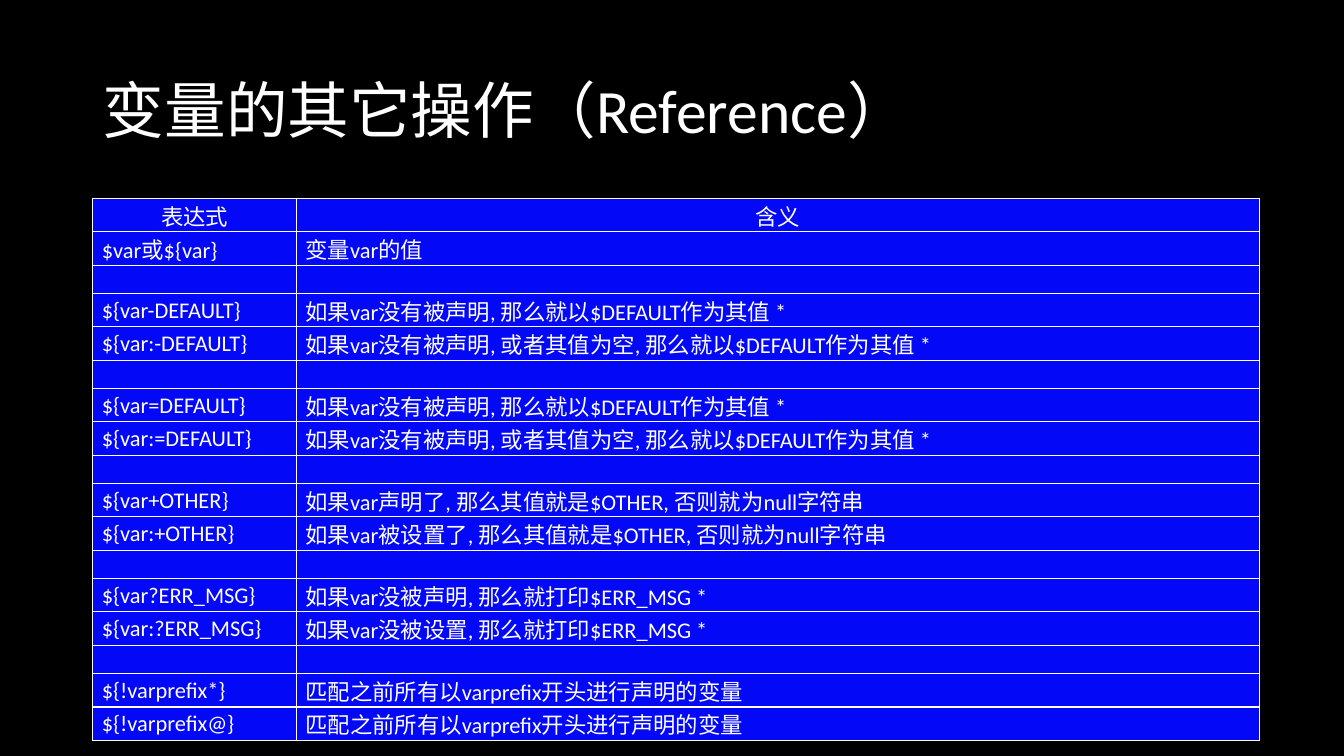
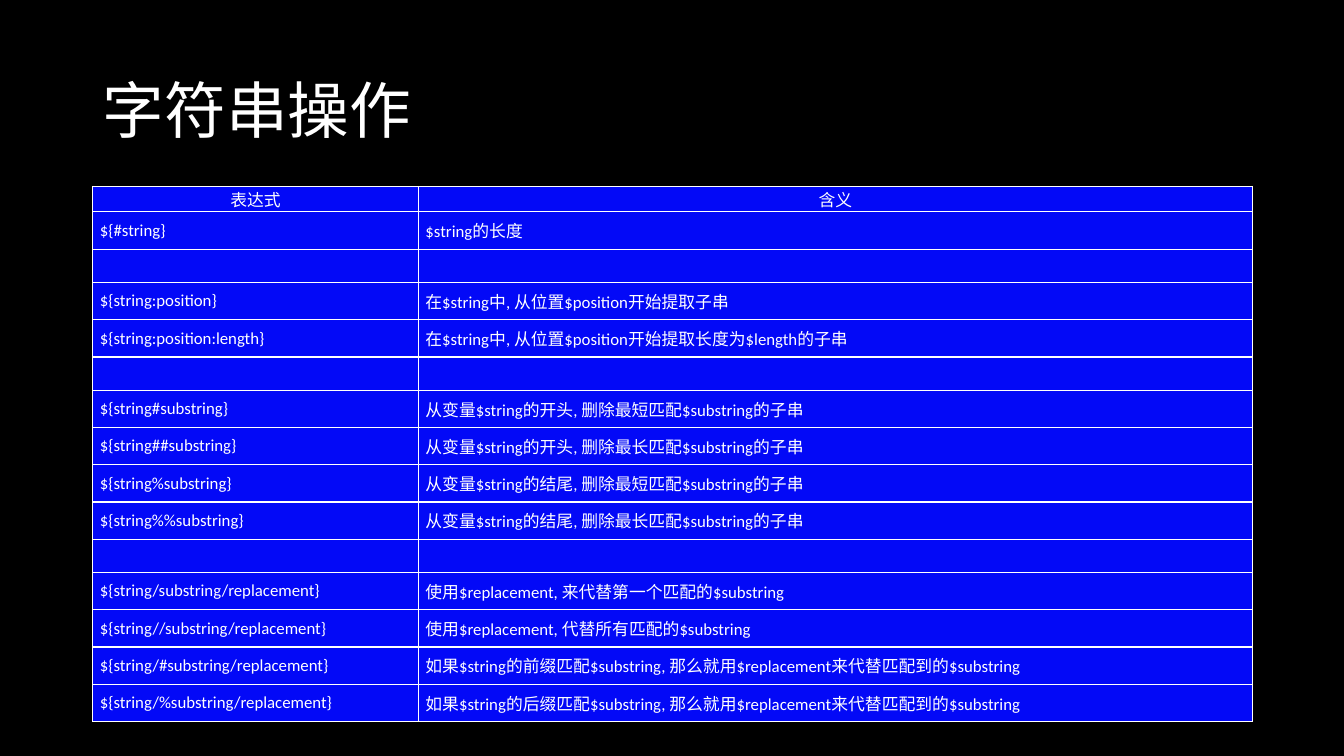
from lxml import etree
from pptx import Presentation
from pptx.dml.color import RGBColor
from pptx.enum.text import MSO_ANCHOR, PP_ALIGN
from pptx.oxml.ns import qn
from pptx.util import Inches, Pt

BLACK = RGBColor(0x00, 0x00, 0x00)
BLUE = RGBColor(0x03, 0x09, 0xF7)
WHITE = RGBColor(0xFF, 0xFF, 0xFF)
FONT = "Calibri"
LEFT, CENTER, MIDDLE = PP_ALIGN.LEFT, PP_ALIGN.CENTER, MSO_ANCHOR.MIDDLE

HEADER = ("表达式", "含义")
GAP = ("", "")
HEADER_MARGINS = (0.01, 0.01, 0.01, 0)

SLIDES = [
    {
        "title": "变量的其它操作（Reference）",
        "top": 1.97, "columns": (2.02, 9.55), "size": 16,
        "margins": (0.09, 0.01, 0.01, 0),
        "header_height": 0.33, "row_height": 0.33, "gap_height": 0.28,
        "rows": [
            ("$var或${var}", "变量var的值"),
            GAP,
            ("${var-DEFAULT}", "如果var没有被声明, 那么就以$DEFAULT作为其值 *"),
            ("${var:-DEFAULT}", "如果var没有被声明, 或者其值为空, 那么就以$DEFAULT作为其值 *"),
            GAP,
            ("${var=DEFAULT}", "如果var没有被声明, 那么就以$DEFAULT作为其值 *"),
            ("${var:=DEFAULT}", "如果var没有被声明, 或者其值为空, 那么就以$DEFAULT作为其值 *"),
            GAP,
            ("${var+OTHER}", "如果var声明了, 那么其值就是$OTHER, 否则就为null字符串"),
            ("${var:+OTHER}", "如果var被设置了, 那么其值就是$OTHER, 否则就为null字符串"),
            GAP,
            ("${var?ERR_MSG}", "如果var没被声明, 那么就打印$ERR_MSG *"),
            ("${var:?ERR_MSG}", "如果var没被设置, 那么就打印$ERR_MSG *"),
            GAP,
            ("${!varprefix*}", "匹配之前所有以varprefix开头进行声明的变量"),
            ("${!varprefix@}", "匹配之前所有以varprefix开头进行声明的变量"),
        ],
    },
    {
        "title": "字符串操作",
        "top": 1.85, "columns": (3.23, 8.27), "size": 12,
        "margins": (0.07, 0.06, 0.01, 0.06),
        "header_height": 0.25, "row_height": 0.37, "gap_height": 0.33,
        "rows": [
            ("${#string}", "$string的长度"),
            GAP,
            ("${string:position}", "在$string中, 从位置$position开始提取子串"),
            ("${string:position:length}", "在$string中, 从位置$position开始提取长度为$length的子串"),
            GAP,
            ("${string#substring}", "从变量$string的开头, 删除最短匹配$substring的子串"),
            ("${string##substring}", "从变量$string的开头, 删除最长匹配$substring的子串"),
            ("${string%substring}", "从变量$string的结尾, 删除最短匹配$substring的子串"),
            ("${string%%substring}", "从变量$string的结尾, 删除最长匹配$substring的子串"),
            GAP,
            ("${string/substring/replacement}", "使用$replacement, 来代替第一个匹配的$substring"),
            ("${string//substring/replacement}", "使用$replacement, 代替所有匹配的$substring"),
            ("${string/#substring/replacement}",
             "如果$string的前缀匹配$substring, 那么就用$replacement来代替匹配到的$substring"),
            ("${string/%substring/replacement}",
             "如果$string的后缀匹配$substring, 那么就用$replacement来代替匹配到的$substring"),
        ],
    },
]


def write(p, text, size, align):
    p.alignment = align
    if not text:
        # An empty paragraph takes its line height from its end mark.
        end = p._p.get_or_add_endParaRPr()
        end.set("sz", str(size * 100))
        etree.SubElement(end, qn("a:latin"), typeface=FONT)
        return
    r = p.add_run()
    r.text = text
    for name, value in {"name": FONT, "size": Pt(size), "bold": False}.items():
        setattr(r.font, name, value)
    r.font.color.rgb = WHITE


def style_cell(cell, margins):
    """Set the margins, white borders and blue fill of a cell."""
    cell.vertical_anchor = MIDDLE
    for side, margin in zip(("left", "top", "right", "bottom"), margins):
        setattr(cell, "margin_" + side, Inches(margin))
    tc_pr = cell._tc.get_or_add_tcPr()
    for edge in ("a:lnL", "a:lnR", "a:lnT", "a:lnB"):
        ln = etree.SubElement(tc_pr, qn(edge), w=str(Pt(1)))
        fill = etree.SubElement(ln, qn("a:solidFill"))
        etree.SubElement(fill, qn("a:srgbClr"), val=str(WHITE))
    cell.fill.solid()
    cell.fill.fore_color.rgb = BLUE


prs = Presentation()
prs.slide_width, prs.slide_height = Inches(13.33), Inches(7.5)
background = prs.slide_master.background.fill
background.solid()
background.fore_color.rgb = BLACK
title_only = prs.slide_layouts[5]

for content in SLIDES:
    s = prs.slides.add_slide(title_only)
    title = s.shapes.title
    title.left, title.top = Inches(0.92), Inches(0.4)
    title.width, title.height = Inches(11.5), Inches(1.45)
    tf = title.text_frame
    tf.vertical_anchor = MIDDLE
    tf.paragraphs[0].line_spacing = 0.9
    write(tf.paragraphs[0], content["title"], 44, LEFT)

    rows = [HEADER] + content["rows"]
    heights = [content["header_height"]] + [
        content["gap_height"] if row == GAP else content["row_height"]
        for row in content["rows"]]
    table = s.shapes.add_table(
        len(rows), len(HEADER), Inches(0.92), Inches(content["top"]),
        Inches(sum(content["columns"])), Inches(sum(heights))).table
    table.first_row = table.horz_banding = False
    for column, width in zip(table.columns, content["columns"]):
        column.width = Inches(width)
    for i, (row, height) in enumerate(zip(rows, heights)):
        table.rows[i].height = Inches(height)
        margins = content["margins"] if i else HEADER_MARGINS
        for j, text in enumerate(row):
            cell = table.cell(i, j)
            style_cell(cell, margins)
            write(cell.text_frame.paragraphs[0], text, content["size"], LEFT if i else CENTER)

prs.save("out.pptx")
